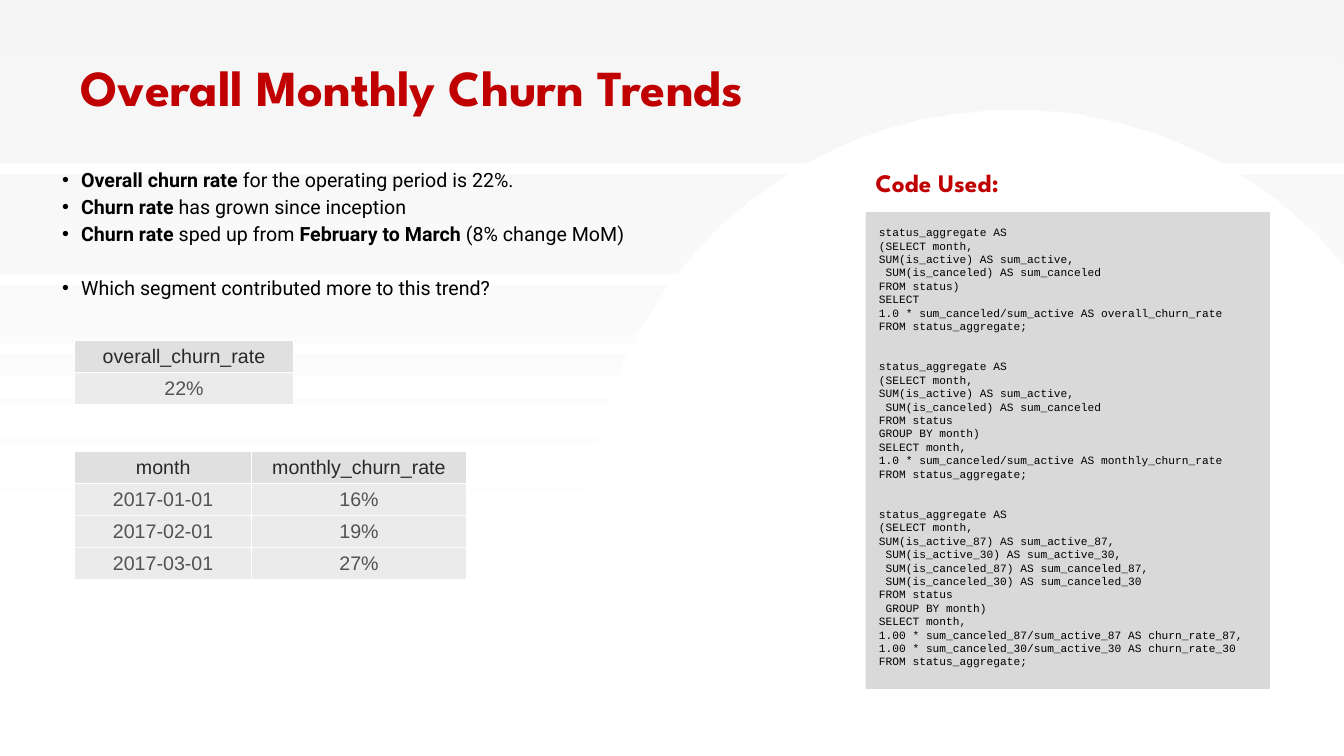
from math import acos, asin, cos, pi, sin

from lxml import etree
from pptx import Presentation
from pptx.dml.color import RGBColor
from pptx.enum.shapes import MSO_SHAPE
from pptx.enum.text import MSO_ANCHOR, PP_ALIGN
from pptx.oxml import parse_xml
from pptx.oxml.ns import nsdecls, qn
from pptx.util import Pt

RECTANGLE = MSO_SHAPE.RECTANGLE
TOP, MIDDLE, BOTTOM = MSO_ANCHOR.TOP, MSO_ANCHOR.MIDDLE, MSO_ANCHOR.BOTTOM
LEFT, CENTER = PP_ALIGN.LEFT, PP_ALIGN.CENTER
WIDTH, HEIGHT = 960, 540
RED, BLACK, WHITE, GRAY = "C00000", "000000", "FFFFFF", "D9D9D9"

BANDS = [(124.6, 71.3), (312.5, 4.3), (284.4, 4.3), (253.4, 15.1),
         (203.8, 41.8), (0, 116.6), (349.2, 1.4)]

BULLETS = [
    [("Overall churn rate", True), (" for the operating period is 22%.", False)],
    [("Churn rate ", True), ("has grown since inception", False)],
    [("Churn rate ", True), ("sped up from ", False),
     ("February to March ", True), ("(8% change MoM)", False)],
    [("Which segment contributed more to this trend?", False)],
]

QUERIES = [
    """status_aggregate AS
(SELECT month,
SUM(is_active) AS sum_active,
 SUM(is_canceled) AS sum_canceled
FROM status)
SELECT
1.0 * sum_canceled/sum_active AS overall_churn_rate
FROM status_aggregate;""",
    """status_aggregate AS
(SELECT month,
SUM(is_active) AS sum_active,
 SUM(is_canceled) AS sum_canceled
FROM status
GROUP BY month)
SELECT month,
1.0 * sum_canceled/sum_active AS monthly_churn_rate
FROM status_aggregate;""",
    """status_aggregate AS
(SELECT month,
SUM(is_active_87) AS sum_active_87,
 SUM(is_active_30) AS sum_active_30,
 SUM(is_canceled_87) AS sum_canceled_87,
 SUM(is_canceled_30) AS sum_canceled_30
FROM status
 GROUP BY month)
SELECT month,
1.00 * sum_canceled_87/sum_active_87 AS churn_rate_87,
1.00 * sum_canceled_30/sum_active_30 AS churn_rate_30
FROM status_aggregate;""",
]


def color(value):
    return RGBColor.from_string(value)


def paint(shape, fill):
    shape.shadow.inherit = False
    shape.line.fill.background()
    shape.fill.solid()
    shape.fill.fore_color.rgb = color(fill)


def add_rectangle(slide, box, fill):
    shape = slide.shapes.add_shape(RECTANGLE, *map(Pt, box))
    paint(shape, fill)
    return shape


def set_frame(text_frame, anchor, inset_x, inset_y):
    text_frame.word_wrap = True
    text_frame.vertical_anchor = anchor
    text_frame.margin_left = text_frame.margin_right = Pt(inset_x)
    text_frame.margin_top = text_frame.margin_bottom = Pt(inset_y)


def format_font(font, name, size, text_color, bold=False):
    font.name, font.size, font.bold = name, Pt(size), bold
    font.color.rgb = color(text_color)


def add_background(slide, box):
    left, top, width, height = box
    for offset, band_height in BANDS:
        band = add_rectangle(slide, (left, top + offset, width, band_height), GRAY)
        band_color = band.fill._xPr.find(qn("a:solidFill"))[0]
        etree.SubElement(band_color, qn("a:alpha"), val="25000")

    veil = add_rectangle(slide, box, WHITE)
    stops = "".join(
        f'<a:gs pos="{position}000"><a:srgbClr val="{WHITE}">'
        f'<a:alpha val="{alpha}000"/></a:srgbClr></a:gs>'
        for position, alpha in ((0, 0), (52, 70), (90, 100)))
    gradient = parse_xml(
        f'<a:gradFill {nsdecls("a")} rotWithShape="1"><a:gsLst>{stops}</a:gsLst>'
        '<a:lin ang="5400000" scaled="0"/></a:gradFill>')
    solid = veil.fill._xPr.find(qn("a:solidFill"))
    solid.getparent().replace(solid, gradient)

    add_circle(slide, box)


def add_circle(slide, box):
    left, top, width, height = box
    center_x, center_y, radius, steps = 724.3, 383.8, 305.3, 120
    start = acos((width - center_x) / radius)
    end = pi + asin((height - center_y) / radius)
    angles = [start + (end - start) * step / steps for step in range(steps + 1)]
    arc = [(left + center_x + radius * cos(angle),
            top + center_y - radius * sin(angle)) for angle in angles]
    corner = (left + width, top + height)
    builder = slide.shapes.build_freeform(*corner, scale=Pt(1))
    builder.add_line_segments(arc, close=True)
    paint(builder.convert_to_shape(), WHITE)


def add_heading(slide, box, text, size):
    text_frame = slide.shapes.add_textbox(*map(Pt, box)).text_frame
    set_frame(text_frame, BOTTOM, 7.2, 3.6)
    text_frame.text = text
    paragraph = text_frame.paragraphs[0]
    paragraph.line_spacing = 0.9
    format_font(paragraph.runs[0].font, "League Spartan", size, RED, True)


def add_bullets(slide, box):
    text_frame = slide.shapes.add_textbox(*map(Pt, box)).text_frame
    set_frame(text_frame, TOP, 7.2, 7.2)
    for index, parts in enumerate(BULLETS):
        paragraph = text_frame.paragraphs[0] if index == 0 else text_frame.add_paragraph()
        paragraph.line_spacing = 1.15
        if index == len(BULLETS) - 1:
            paragraph.space_before = Pt(19)
        properties = paragraph._p.get_or_add_pPr()
        properties.set("marL", str(Pt(13.5)))
        properties.set("indent", str(-Pt(13.5)))
        bullet_color = etree.SubElement(properties, qn("a:buClr"))
        etree.SubElement(bullet_color, qn("a:srgbClr"), val=BLACK)
        etree.SubElement(properties, qn("a:buFont"), typeface="Arial")
        etree.SubElement(properties, qn("a:buChar"), char="\u2022")
        for text, bold in parts:
            run = paragraph.add_run()
            run.text = text
            format_font(run.font, "Roboto", 14, BLACK, bold)


def style_cell(cell, text, fill, text_color):
    properties = cell._tc.get_or_add_tcPr()
    for side in ("lnL", "lnR", "lnT", "lnB"):
        properties.append(parse_xml(
            f'<a:{side} {nsdecls("a")} w="{Pt(0.75)}"><a:solidFill>'
            f'<a:srgbClr val="{WHITE}"/></a:solidFill></a:{side}>'))
    cell.fill.solid()
    cell.fill.fore_color.rgb = color(fill)
    cell.vertical_anchor = MIDDLE
    cell.margin_top = cell.margin_bottom = Pt(3)
    cell.text_frame.text = text
    paragraph = cell.text_frame.paragraphs[0]
    paragraph.alignment = CENTER
    format_font(paragraph.runs[0].font, "Arial", 14, text_color)


def add_rate_table(slide, box, column_widths, rows):
    table = slide.shapes.add_table(len(rows), len(column_widths), *map(Pt, box)).table
    table.first_row = table.horz_banding = False
    for column, width in zip(table.columns, column_widths):
        column.width = Pt(width)
    for row_index, values in enumerate(rows):
        table.rows[row_index].height = Pt(box[3] / len(rows))
        fill, text_color = ("EBEBEB", "525252") if row_index else ("E0E0E0", "292929")
        for column_index, value in enumerate(values):
            style_cell(table.cell(row_index, column_index), value, fill, text_color)


def add_code_panel(slide, box):
    text_frame = add_rectangle(slide, box, GRAY).text_frame
    set_frame(text_frame, TOP, 9.4, 9.4)
    text_frame.text = "\n".join(QUERIES)
    for paragraph in text_frame.paragraphs:
        paragraph.alignment = LEFT
        format_font(paragraph.runs[0].font, "Courier New", 8, BLACK)
    line_index = 0
    for query in QUERIES[:-1]:
        line_index += len(query.splitlines())
        text_frame.paragraphs[line_index].space_before = Pt(19.2)


def build_churn_slide(presentation):
    slide = presentation.slides.add_slide(presentation.slide_layouts[6])
    add_background(slide, (0, 0, WIDTH, HEIGHT))
    add_rate_table(slide, (53.5, 243.5, 156, 45.6), [156],
                   [["overall_churn_rate"], ["22%"]])
    add_code_panel(slide, (618.4, 151.6, 288.8, 340.4))
    add_rate_table(slide, (53.5, 322.7, 279.8, 91.2), [126.2, 153.6],
                   [["month", "monthly_churn_rate"], ["2017-01-01", "16%"],
                    ["2017-02-01", "19%"], ["2017-03-01", "27%"]])
    add_heading(slide, (50.4, 39.6, 561.6, 48.2), "Overall Monthly Churn Trends", 36)
    add_bullets(slide, (37.4, 110.2, 527.8, 118))
    add_heading(slide, (618.4, 92.9, 334, 52), "Code Used:", 18)


presentation = Presentation()
presentation.slide_width, presentation.slide_height = Pt(WIDTH), Pt(HEIGHT)
build_churn_slide(presentation)
presentation.save("out.pptx")
